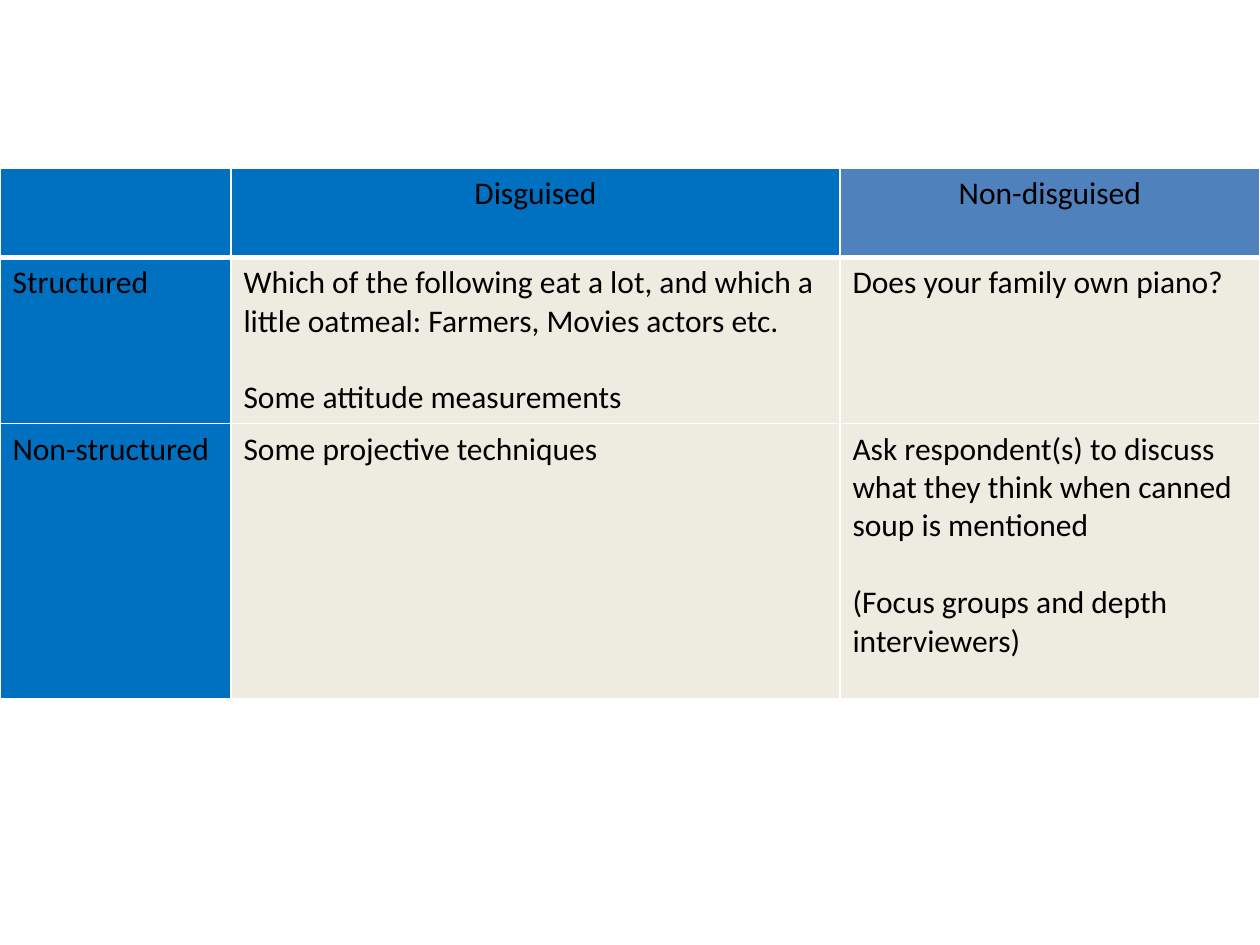
"""Build a slide with a table that sorts question types by structure and disguise."""
from dataclasses import dataclass

from lxml import etree
from pptx import Presentation
from pptx.dml.color import RGBColor
from pptx.enum import text
from pptx.oxml.ns import qn
from pptx.table import _Cell
from pptx.util import Pt


@dataclass(frozen=True)
class Theme:
    font: str = "Calibri"
    size: float = 18
    ink: str = "000000"
    heading: str = "0070C0"
    accent: str = "4F81BD"
    body: str = "EEECE1"
    rule: str = "FFFFFF"
    rule_width: float = 1
    header_rule_width: float = 3
    paragraph_gap: float = 22


@dataclass(frozen=True)
class Entry:
    fill: str
    paragraphs: tuple[str, ...] = ()
    centred: bool = False
    bottom_rule: float = Theme.rule_width


THEME = Theme()
LEFT, TOP = 0, 96
COLUMN_WIDTHS = (132, 348, 240)
ROW_HEIGHTS = (51, 95, 157)


def header(fill: str, *paragraphs: str) -> Entry:
    return Entry(fill, paragraphs, True, THEME.header_rule_width)


def label(caption: str) -> Entry:
    return Entry(THEME.heading, (caption,))


def example(*paragraphs: str) -> Entry:
    return Entry(THEME.body, paragraphs)


QUESTION_TYPES = (
    (
        header(THEME.heading),
        header(THEME.heading, "Disguised"),
        header(THEME.accent, "Non-disguised"),
    ),
    (
        label("Structured"),
        example(
            "Which of the following eat a lot, and which a little oatmeal: "
            "Farmers, Movies actors etc.",
            "Some attitude measurements",
        ),
        example("Does your family own piano?"),
    ),
    (
        label("Non-structured"),
        example("Some projective techniques"),
        example(
            "Ask respondent(s) to discuss what they think when canned soup is mentioned",
            "(Focus groups and depth interviewers)",
        ),
    ),
)


def draw_borders(cell: _Cell, bottom_rule: float) -> None:
    properties = cell._tc.get_or_add_tcPr()
    for side in "LRTB":
        width = bottom_rule if side == "B" else THEME.rule_width
        line = etree.SubElement(properties, qn(f"a:ln{side}"), w=str(Pt(width)))
        paint = etree.SubElement(line, qn("a:solidFill"))
        etree.SubElement(paint, qn("a:srgbClr"), val=THEME.rule)


def draw_entry(cell: _Cell, entry: Entry) -> None:
    draw_borders(cell, entry.bottom_rule)
    cell.fill.solid()
    cell.fill.fore_color.rgb = RGBColor.from_string(entry.fill)
    cell.text = "\n".join(entry.paragraphs)
    for index, paragraph in enumerate(cell.text_frame.paragraphs):
        paragraph.font.name = THEME.font
        paragraph.font.size = Pt(THEME.size)
        paragraph.font.color.rgb = RGBColor.from_string(THEME.ink)
        if entry.centred:
            paragraph.alignment = text.PP_ALIGN.CENTER
        if index:
            paragraph.space_before = Pt(THEME.paragraph_gap)


def main() -> None:
    deck = Presentation()
    deck.slide_width, deck.slide_height = Pt(720), Pt(540)
    slide = deck.slides.add_slide(deck.slide_layouts[6])
    matrix = slide.shapes.add_table(
        len(ROW_HEIGHTS), len(COLUMN_WIDTHS), Pt(LEFT), Pt(TOP),
        Pt(sum(COLUMN_WIDTHS)), Pt(sum(ROW_HEIGHTS)),
    ).table
    matrix.first_row = matrix.horz_banding = False
    for column, width in zip(matrix.columns, COLUMN_WIDTHS):
        column.width = Pt(width)
    for row, height, entries in zip(matrix.rows, ROW_HEIGHTS, QUESTION_TYPES):
        row.height = Pt(height)
        for cell, entry in zip(row.cells, entries):
            draw_entry(cell, entry)
    deck.save("out.pptx")


if __name__ == "__main__":
    main()
